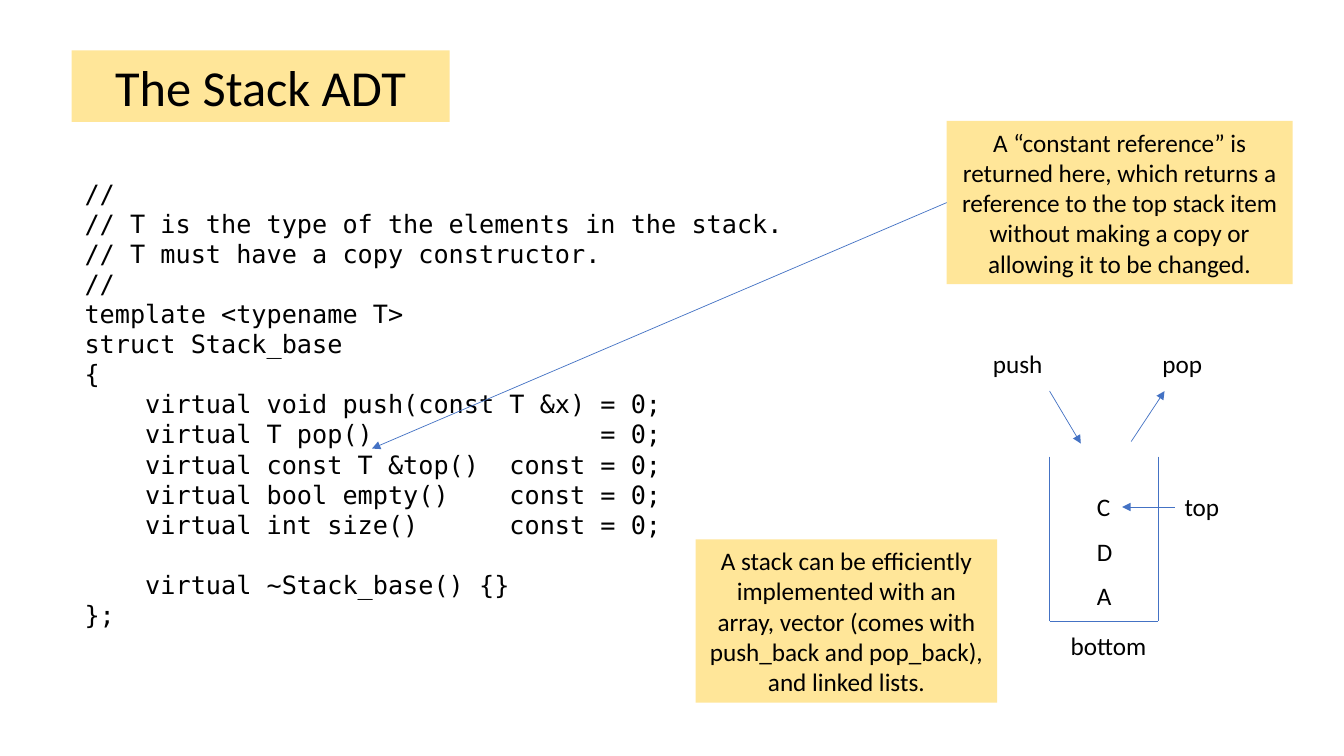
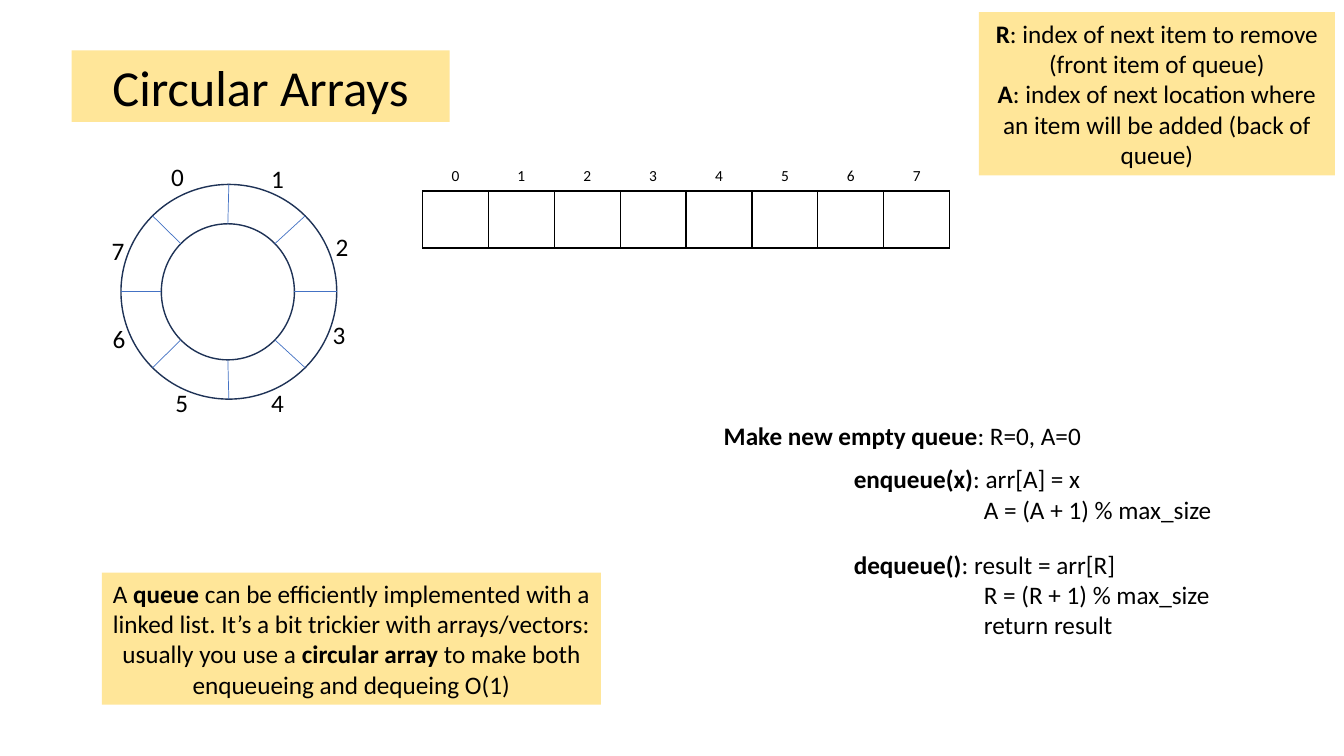
from math import cos, radians, sin
from typing import NamedTuple, Optional, Sequence, Union

from lxml import etree
from pptx import Presentation
from pptx.dml.color import RGBColor
from pptx.enum.shapes import MSO_CONNECTOR, MSO_SHAPE
from pptx.enum.text import MSO_ANCHOR, MSO_AUTO_SIZE, PP_ALIGN
from pptx.oxml.ns import qn
from pptx.shapes.autoshape import Shape
from pptx.shapes.connector import Connector
from pptx.shapes.shapetree import GroupShapes, SlideShapes
from pptx.slide import Slide
from pptx.table import _Cell
from pptx.text.text import TextFrame
from pptx.util import Inches, Pt

RECTANGLE, ELLIPSE = MSO_SHAPE.RECTANGLE, MSO_SHAPE.OVAL
STRAIGHT = MSO_CONNECTOR.STRAIGHT
TOP, MIDDLE, BOTTOM = MSO_ANCHOR.TOP, MSO_ANCHOR.MIDDLE, MSO_ANCHOR.BOTTOM
LEFT, CENTER = PP_ALIGN.LEFT, PP_ALIGN.CENTER
FIXED_SIZE = MSO_AUTO_SIZE.NONE
LEFT_SIDE, RIGHT_SIDE = 1, 3

BLACK = RGBColor(0x00, 0x00, 0x00)
YELLOW = RGBColor(0xFF, 0xE6, 0x99)
BLUE = RGBColor(0x44, 0x72, 0xC4)
NAVY = RGBColor(0x1E, 0x32, 0x56)

TEXT_FONT, CODE_FONT = "Calibri", "DejaVu Sans Mono"
TITLE_ONLY_LAYOUT = 5
CODE_LINE = 21.5  # points
Shapes = Union[SlideShapes, GroupShapes]


class Area(NamedTuple):
    left: float
    top: float
    width: float
    height: float

    def lengths(self) -> list[int]:
        return [Inches(value) for value in self]


class Para(NamedTuple):
    text: str  # stretches between ** are bold
    indent: float = 0
    before: float = 0


class Label(NamedTuple):
    text: str
    area: Area


class Line(NamedTuple):
    start: tuple[float, float]
    end: tuple[float, float]
    arrow: bool = False


class TextBlock(NamedTuple):
    area: Area
    paras: list[Para]


# Slide 1 content
CODE = [
    Para("//"),
    Para("// T is the type of the elements in the stack."),
    Para("// T must have a copy constructor."),
    Para("//"),
    Para("template <typename T>"),
    Para("struct Stack_base"),
    Para("{"),
    Para("    virtual void push(const T &x) = 0;"),
    Para("    virtual T pop()               = 0;"),
    Para("    virtual const T &top()  const = 0;"),
    Para("    virtual bool empty()    const = 0;"),
    Para("    virtual int size()      const = 0;"),
    Para("    virtual ~Stack_base() {}", before=CODE_LINE),
    Para("};"),
]
REFERENCE_NOTE = TextBlock(Area(9.39, 1.2, 3.43, 1.62), [Para(
    "A “constant reference” is returned here, which returns a reference to the "
    "top stack item without making a copy or allowing it to be changed.")])
STACK_NOTE = TextBlock(Area(6.9, 5.35, 2.99, 1.62), [Para(
    "A stack can be efficiently implemented with an array, vector (comes with "
    "push_back and pop_back), and linked lists.")])
STACK_LABELS = [
    Label("A", Area(10.78, 5.71, 0.35, 0.4)),
    Label("D", Area(10.78, 5.27, 0.36, 0.4)),
    Label("C", Area(10.78, 4.83, 0.35, 0.4)),
    Label("bottom", Area(10.52, 6.2, 0.97, 0.4)),
    Label("top", Area(11.65, 4.83, 0.55, 0.4)),
    Label("push", Area(9.75, 3.41, 0.7, 0.4)),
    Label("pop", Area(11.43, 3.41, 0.6, 0.4)),
]
STACK_LINES = [
    Line((10.41, 4.53), (10.41, 6.16)),
    Line((11.49, 4.53), (11.49, 6.16)),
    Line((10.41, 6.16), (11.49, 6.16)),
    Line((10.41, 3.88), (10.72, 4.4), arrow=True),
    Line((11.22, 4.38), (11.55, 3.88), arrow=True),
]

# Slide 2 content
QUEUE_NOTES = [
    TextBlock(Area(1.01, 5.68, 4.95, 1.31), [Para(
        "A **queue** can be efficiently implemented with a linked list. It’s a bit "
        "trickier with arrays/vectors: usually you use a **circular array** to make "
        "both enqueueing and dequeing O(1)")]),
    TextBlock(Area(9.71, 0.12, 3.53, 1.62), [
        Para("**R**: index of next item to remove (front item of queue)"),
        Para("**A**: index of next location where an item will be added "
             "(back of queue)")]),
]
OPERATIONS = [
    TextBlock(Area(7.08, 4.12, 4, 0.4), [Para("**Make new empty queue**: R=0, A=0")]),
    TextBlock(Area(8.37, 4.55, 4, 0.71), [
        Para("**enqueue(x)**: arr[A] = x"),
        Para("A = (A + 1) % max_size", indent=1.29)]),
    TextBlock(Area(8.37, 5.4, 4, 1.01), [
        Para("**dequeue()**: result = arr[R]"),
        Para("R = (R + 1) % max_size", indent=1.29),
        Para("return result", indent=1.29)]),
]
SLOTS = 8
OUTER_RING = Area(1.2, 1.83, 2.14, 2.13)
INNER_RING = Area(1.6, 2.22, 1.32, 1.35)
SLOT_CORNERS = [(1.6, 1.55), (2.59, 1.57), (3.23, 2.25), (3.2, 3.12),
                (2.59, 3.79), (1.64, 3.79), (1.02, 3.16), (1.01, 2.29)]
ARRAY_AREA = Area(4.19, 1.33, 5.23, 1.13)


def write(frame: TextFrame, paras: Sequence[Para], *, size: float = 18,
          font: str = TEXT_FONT, align: PP_ALIGN = LEFT, anchor: MSO_ANCHOR = TOP,
          wrap: bool = True, line_height: Optional[float] = None) -> None:
    """Fill a text frame with formatted paragraphs."""
    frame.auto_size = FIXED_SIZE
    frame.word_wrap = wrap
    frame.vertical_anchor = anchor
    for index, content in enumerate(paras):
        para = frame.add_paragraph() if index else frame.paragraphs[0]
        para.alignment = align
        if line_height:
            para.line_spacing = Pt(line_height)
        if content.before:
            para.space_before = Pt(content.before)
        if content.indent:
            para._p.get_or_add_pPr().set("marL", str(Inches(content.indent)))
        for part, text in enumerate(content.text.split("**")):
            if not text:
                continue
            span = para.add_run()
            span.text = text
            span.font.name = font
            span.font.size = Pt(size)
            span.font.bold = part % 2 == 1
            span.font.color.rgb = BLACK


def add_page(deck: Presentation, title: str) -> Slide:
    """Add a slide with the shared yellow title band."""
    page = deck.slides.add_slide(deck.slide_layouts[TITLE_ONLY_LAYOUT])
    band = page.shapes.title
    band.left, band.top, band.width, band.height = Area(0.71, 0.5, 3.75, 0.71).lengths()
    band.fill.solid()
    band.fill.fore_color.rgb = YELLOW
    write(band.text_frame, [Para(title)], size=36, align=CENTER, anchor=MIDDLE)
    return page


def add_note(page: Slide, note: TextBlock) -> Shape:
    box = page.shapes.add_shape(RECTANGLE, *note.area.lengths())
    box.shadow.inherit = False
    box.fill.solid()
    box.fill.fore_color.rgb = YELLOW
    box.line.fill.background()
    write(box.text_frame, note.paras, align=CENTER, anchor=MIDDLE)
    return box


def add_label(shapes: Shapes, label: Label) -> Shape:
    box = shapes.add_textbox(*label.area.lengths())
    write(box.text_frame, [Para(label.text)], wrap=False)
    return box


def add_line(shapes: Shapes, line: Line) -> Connector:
    ends = [Inches(value) for value in (*line.start, *line.end)]
    connector = shapes.add_connector(STRAIGHT, *ends)
    connector.line.color.rgb = BLUE
    connector.line.width = Pt(0.5)
    properties = connector.element.spPr
    if line.arrow:
        etree.SubElement(properties.find(qn("a:ln")), qn("a:tailEnd"), type="triangle")
    etree.SubElement(properties, qn("a:effectLst"))
    return connector


def add_ring(shapes: Shapes, area: Area) -> None:
    ring = shapes.add_shape(ELLIPSE, *area.lengths())
    ring.shadow.inherit = False
    ring.fill.background()
    ring.line.color.rgb = NAVY
    ring.line.width = Pt(1)


def ring_point(area: Area, degrees: float) -> tuple[float, float]:
    """Point on an ellipse, clockwise from its top."""
    angle = radians(degrees)
    return (area.left + area.width / 2 * (1 + sin(angle)),
            area.top + area.height / 2 * (1 - cos(angle)))


def set_borders(cell: _Cell, sides: str) -> None:
    """Draw black borders on the given sides, in the order L, R, T, B."""
    properties = cell._tc.get_or_add_tcPr()
    for side in sides:
        border = etree.SubElement(properties, qn(f"a:ln{side}"), w=str(Pt(1)))
        fill = etree.SubElement(border, qn("a:solidFill"))
        etree.SubElement(fill, qn("a:srgbClr"), val=str(BLACK))


def add_array(page: Slide) -> None:
    table = page.shapes.add_table(2, SLOTS, *ARRAY_AREA.lengths()).table
    table.first_row = False
    table.horz_banding = False
    for slot in range(SLOTS):
        index_cell, value_cell = table.cell(0, slot), table.cell(1, slot)
        set_borders(index_cell, "B")
        set_borders(value_cell, "LRTB")
        for cell in (index_cell, value_cell):
            cell.fill.background()
        index_cell.vertical_anchor = BOTTOM
        para = index_cell.text_frame.paragraphs[0]
        para.alignment = CENTER
        span = para.add_run()
        span.text = str(slot)
        span.font.name = TEXT_FONT
        span.font.size = Pt(11)
        span.font.color.rgb = BLACK


def add_circular_array(page: Slide) -> None:
    shapes = page.shapes.add_group_shape().shapes
    for area in (OUTER_RING, INNER_RING):
        add_ring(shapes, area)
    for slot, corner in enumerate(SLOT_CORNERS):
        degrees = slot * 360 / SLOTS
        add_line(shapes, Line(ring_point(INNER_RING, degrees),
                              ring_point(OUTER_RING, degrees)))
        add_label(shapes, Label(str(slot), Area(*corner, 0.33, 0.4)))


def build_stack_page(deck: Presentation) -> None:
    page = add_page(deck, "The Stack ADT")
    code_box = page.shapes.add_textbox(*Area(0.74, 1.72, 8.08, 4.64).lengths())
    write(code_box.text_frame, CODE, font=CODE_FONT, line_height=CODE_LINE)
    reference_box = add_note(page, REFERENCE_NOTE)

    # Stack diagram
    for line in STACK_LINES:
        add_line(page.shapes, line)
    labels = {label.text: add_label(page.shapes, label) for label in STACK_LABELS}
    top_arrow = add_line(page.shapes, Line((11.65, 5.03), (11.13, 5.03), arrow=True))
    top_arrow.begin_connect(labels["top"], LEFT_SIDE)
    top_arrow.end_connect(labels["C"], RIGHT_SIDE)

    # Notes
    note_arrow = add_line(page.shapes, Line((9.39, 2.01), (3.69, 4.45), arrow=True))
    note_arrow.begin_connect(reference_box, LEFT_SIDE)
    add_note(page, STACK_NOTE)


def build_queue_page(deck: Presentation) -> None:
    page = add_page(deck, "Circular Arrays")
    add_circular_array(page)
    add_array(page)
    for note in QUEUE_NOTES:
        add_note(page, note)
    for operation in OPERATIONS:
        box = page.shapes.add_textbox(*operation.area.lengths())
        write(box.text_frame, operation.paras)


def main() -> None:
    deck = Presentation()
    deck.slide_width, deck.slide_height = Inches(13.33), Inches(7.5)
    build_stack_page(deck)
    build_queue_page(deck)
    deck.save("out.pptx")


if __name__ == "__main__":
    main()
